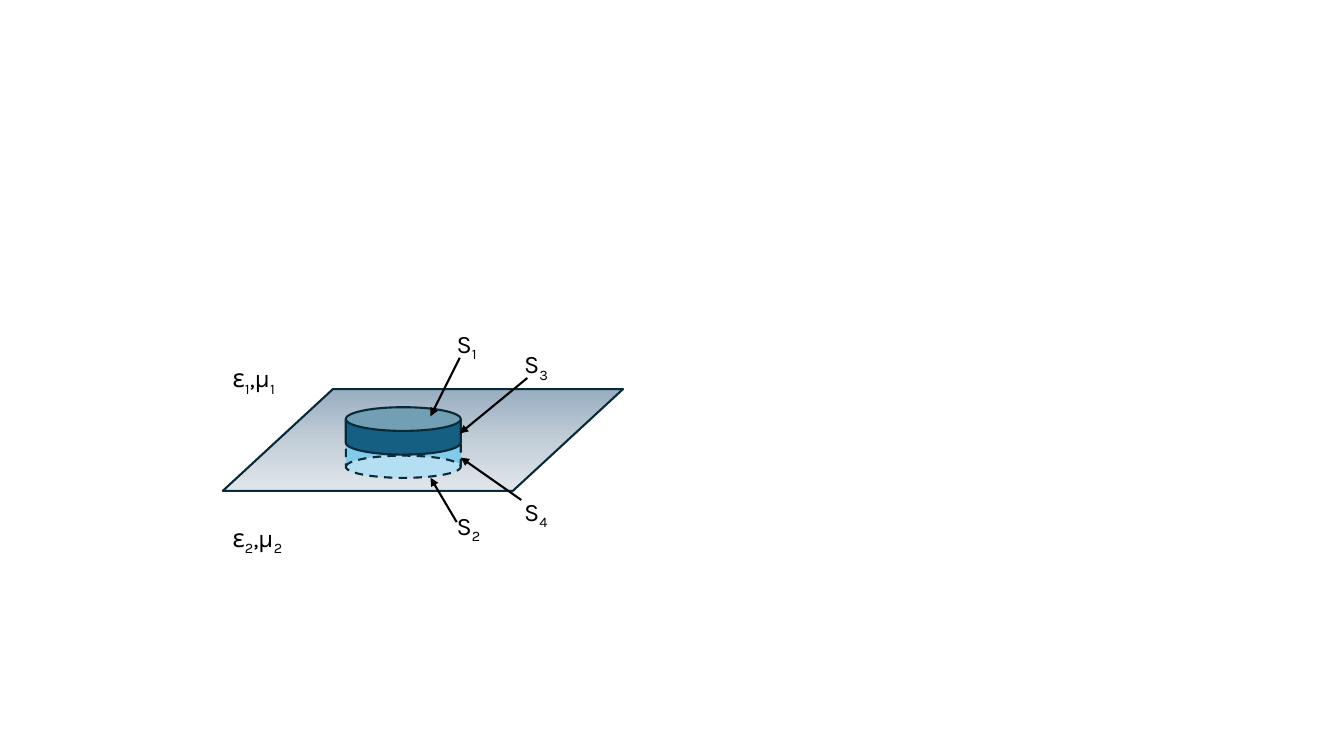
from copy import deepcopy

from pptx import Presentation
from pptx.dml.color import RGBColor
from pptx.enum.dml import MSO_LINE as Dash
from pptx.enum.shapes import MSO_CONNECTOR as Conn, MSO_SHAPE as Kind
from pptx.enum.text import MSO_AUTO_SIZE as Fit
from pptx.oxml.ns import qn
from pptx.oxml.xmlchemy import OxmlElement as Node
from pptx.util import Inches, Pt

EDGE = "092A39"
INK = "000000"


def paint(part, color):
    """Give a fill or font a solid colour from a hex string."""
    if hasattr(part, "solid"):
        part.solid()
        part = part.fore_color
    else:
        part = part.color
    part.rgb = RGBColor.from_string(color)


def solid(slide, kind, box, bend):
    """Add an outlined preset shape with its adjustment set."""
    shape = slide.shapes.add_shape(kind, *map(Inches, box))
    shape.shadow.inherit = False
    shape.adjustments[0] = bend
    paint(shape.line.fill, EDGE)
    shape.line.width = Pt(1.5)
    return shape


def plane(slide, box):
    """Draw the shaded interface between the two media."""
    shape = solid(slide, Kind.PARALLELOGRAM, box, 1.082)
    shape.fill.gradient()
    shape.fill.gradient_angle = 270
    stops = shape._element.spPr.find(qn("a:gradFill")).find(qn("a:gsLst"))
    stops.append(deepcopy(stops[-1]))
    colors = "98ADC1", "C2CDD7", "E1E6EB"
    for rank, (stop, color) in enumerate(zip(shape.fill.gradient_stops, colors)):
        stop.position = rank / 2
        stop.color.rgb = RGBColor.from_string(color)


def pillbox(slide, left, top, width):
    """Draw the dashed lower can and the solid upper can."""
    lower = solid(slide, Kind.CAN, (left, top + 0.26, width, 0.44), 0.5)
    lower.rotation = 180
    lower.line.dash_style = Dash.DASH
    paint(lower.fill, "83CBEB")
    upper = solid(slide, Kind.CAN, (left, top, width, 0.47), 0.5)
    paint(upper.fill, "156082")


def label(slide, left, top, width, names, index):
    """Write names, each followed by the index as a subscript."""
    box = slide.shapes.add_textbox(*map(Inches, (left, top, width, 0.4)))
    frame = box.text_frame
    frame.word_wrap = True
    frame.auto_size = Fit.SHAPE_TO_FIT_TEXT
    para = frame.paragraphs[0]
    for name in names:
        for text, base in (name, 0), (index, -25000):
            run = para.add_run()
            run.text = text
            run.font.name = "Karla"
            run.font.size = Pt(18)
            paint(run.font, INK)
            run.font._element.set("baseline", str(base))


def arrow(slide, start, end):
    """Draw a black arrow from start to end."""
    line = slide.shapes.add_connector(Conn.STRAIGHT, *map(Inches, start + end))
    paint(line.line.fill, INK)
    line.line.width = Pt(1.5)
    head = Node("a:tailEnd")
    head.set("type", "triangle")
    line.line._get_or_add_ln().append(head)
    line._element.spPr.append(Node("a:effectLst"))


def figure(slide, left, top):
    """Place the interface, pillbox, media and surface labels."""
    plane(slide, (left, top, 3.97, 1.01))
    pillbox(slide, left + 1.22, top + 0.18, 1.14)
    for index, drop in ("1", -0.31), ("2", 1.27):
        label(slide, left, top + drop, 1.1, ("ε", ",μ"), index)
    marks = (
        ("1", (2.22, -0.65), (2.35, -0.31), (2.06, 0.27)),
        ("2", (2.22, 1.15), (2.32, 1.32), (2.06, 0.88)),
        ("3", (2.89, -0.45), (3.02, -0.11), (2.35, 0.44)),
        ("4", (2.89, 1.01), (2.96, 1.1), (2.36, 0.68)),
    )
    for index, spot, *ends in marks:
        label(slide, left + spot[0], top + spot[1], 0.54, ("S",), index)
        arrow(slide, *((left + x, top + y) for x, y in ends))


def main():
    """Build and save the slide."""
    deck = Presentation()
    deck.slide_width = Inches(13.33)
    deck.slide_height = Inches(7.5)
    slide = deck.slides.add_slide(deck.slide_layouts[6])
    figure(slide, 2.21, 3.86)
    deck.save("out.pptx")


if __name__ == "__main__":
    main()
